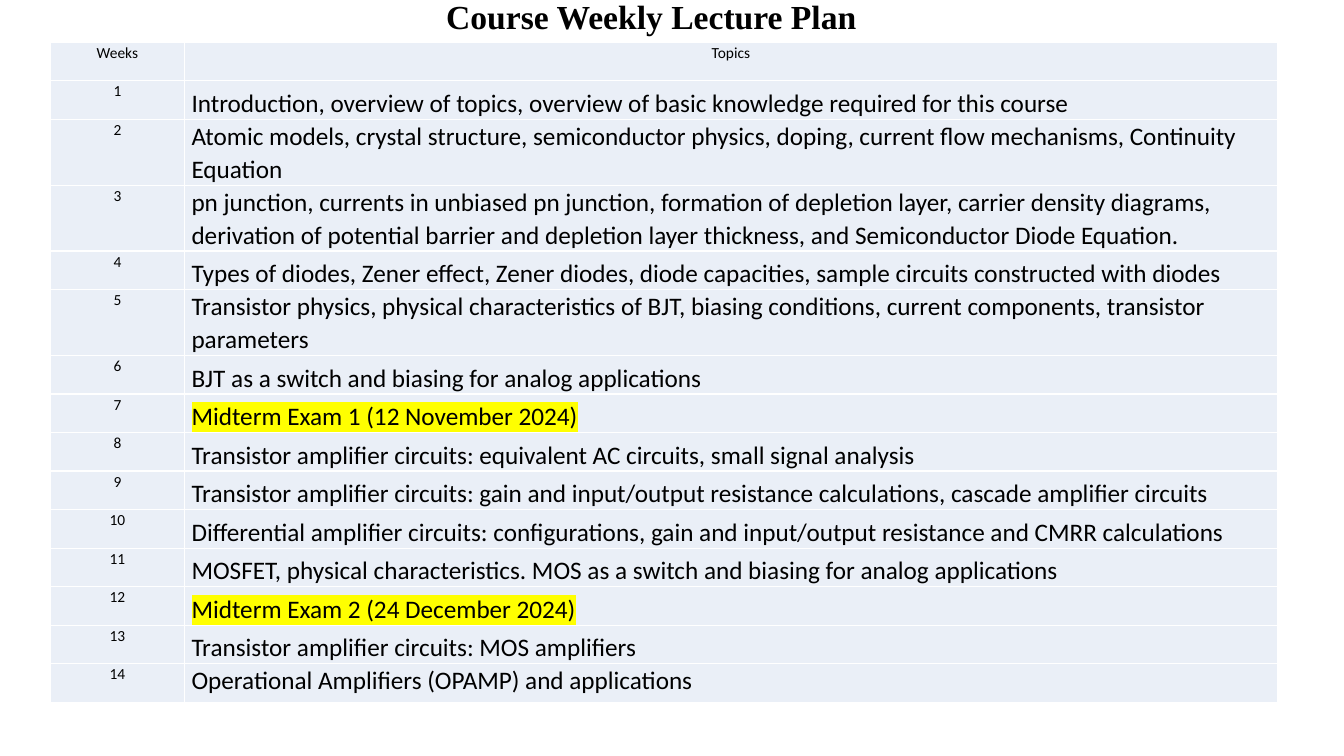
import pptx
import pptx.util
import pptx.dml.color
import pptx.enum.text
import pptx.oxml
import pptx.oxml.ns
import lxml.etree

Inches, Pt = pptx.util.Inches, pptx.util.Pt
ALIGN, ANCHOR = pptx.enum.text.PP_ALIGN, pptx.enum.text.MSO_ANCHOR
THEME = {
    "ink": "000000", "cell": "EAEFF7", "border": "FFFFFF", "exam": "FFFF00",
    "title_font": "Times New Roman", "body_font": "Calibri",
    "title_size": 24, "topic_size": 18, "label_size": 11, "border_width": 1,
}
TOPICS = [
    "Introduction, overview of topics, overview of basic knowledge required for this course",
    "Atomic models, crystal structure, semiconductor physics, doping, current flow mechanisms, "
    "Continuity Equation",
    "pn junction, currents in unbiased pn junction, formation of depletion layer, carrier density "
    "diagrams, derivation of potential barrier and depletion layer thickness, and Semiconductor "
    "Diode Equation.",
    "Types of diodes, Zener effect, Zener diodes, diode capacities, sample circuits constructed "
    "with diodes",
    "Transistor physics, physical characteristics of BJT, biasing conditions, current components, "
    "transistor parameters",
    "BJT as a switch and biasing for analog applications",
    "Midterm Exam 1 (12 November 2024)",
    "Transistor amplifier circuits: equivalent AC circuits, small signal analysis",
    "Transistor amplifier circuits: gain and input/output resistance calculations, cascade "
    "amplifier circuits",
    "Differential amplifier circuits: configurations, gain and input/output resistance and CMRR "
    "calculations",
    "MOSFET, physical characteristics. MOS as a switch and biasing for analog applications",
    "Midterm Exam 2 (24 December 2024)",
    "Transistor amplifier circuits: MOS amplifiers",
    "Operational Amplifiers (OPAMP) and applications",
]
TWO_LINE_WEEKS = {2, 3, 5}
NS = pptx.oxml.ns.nsdecls("a")


def format_text(paragraph, font_name, size, align, spacing):
    paragraph.alignment = align
    paragraph.line_spacing = spacing
    paragraph.space_before = Pt(0)
    font = paragraph.runs[0].font
    font.name, font.size = font_name, Pt(size)
    font.color.rgb = pptx.dml.color.RGBColor.from_string(THEME["ink"])
    return font


def style_cell(cell):
    """Set the margins, fill and four borders shared by every cell."""
    cell.margin_left = cell.margin_right = Inches(0.07)
    cell.margin_top = cell.margin_bottom = 0
    cell.fill.solid()
    cell.fill.fore_color.rgb = pptx.dml.color.RGBColor.from_string(THEME["cell"])
    for position, side in enumerate("LRTB"):
        border = pptx.oxml.parse_xml(
            f'<a:ln{side} {NS} w="{Pt(THEME["border_width"])}"><a:solidFill>'
            f'<a:srgbClr val="{THEME["border"]}"/></a:solidFill></a:ln{side}>')
        cell._tc.get_or_add_tcPr().insert(position, border)


deck = pptx.Presentation()
deck.slide_width, deck.slide_height = Inches(13.33), Inches(7.5)
slide = deck.slides.add_slide(deck.slide_layouts[5])

heading = slide.shapes.title
heading.left, heading.top = Inches(1.46), Inches(0.07)
heading.width, heading.height = Inches(10), Inches(0.34)
heading.text_frame.text = "Course Weekly Lecture Plan"
heading.text_frame.auto_size = pptx.enum.text.MSO_AUTO_SIZE.NONE
heading.text_frame.vertical_anchor = ANCHOR.BOTTOM
format_text(heading.text_frame.paragraphs[0], THEME["title_font"], THEME["title_size"],
            ALIGN.CENTER, 0.9).bold = True

plan_rows = [("Weeks", "Topics")] + [(str(week), topic) for week, topic in enumerate(TOPICS, 1)]
plan_width, plan_height = Inches(12.17), Inches(6.54)
plan = slide.shapes.add_table(len(plan_rows), 2, Inches(0.5), Inches(0.42),
                              plan_width, plan_height).table
plan.first_row = plan.horz_banding = False
plan.columns[0].width = Inches(1.33)
plan.columns[1].width = plan_width - Inches(1.33)

two_line_height = Inches(0.65)
one_line_height = ((plan_height - len(TWO_LINE_WEEKS) * two_line_height)
                   // (len(plan_rows) - len(TWO_LINE_WEEKS)))

for week, row_texts in enumerate(plan_rows):
    plan.rows[week].height = two_line_height if week in TWO_LINE_WEEKS else one_line_height
    for column, text in enumerate(row_texts):
        cell = plan.cell(week, column)
        style_cell(cell)
        cell.text_frame.text = text
        is_topic = week > 0 and column == 1
        is_last = week == len(TOPICS)
        cell.vertical_anchor = ANCHOR.BOTTOM if is_topic and not is_last else ANCHOR.TOP
        paragraph = cell.text_frame.paragraphs[0]
        format_text(paragraph, THEME["body_font"],
                    THEME["topic_size"] if is_topic else THEME["label_size"],
                    ALIGN.LEFT if is_topic else ALIGN.CENTER, 1.07)
        if week == 0:
            paragraph.space_before = Pt(6)
        if text.startswith("Midterm"):
            ink_fill = paragraph.runs[0]._r.rPr.find(pptx.oxml.ns.qn("a:solidFill"))
            ink_fill.addnext(lxml.etree.fromstring(
                f'<a:highlight {NS}><a:srgbClr val="{THEME["exam"]}"/></a:highlight>'))

deck.save("out.pptx")
